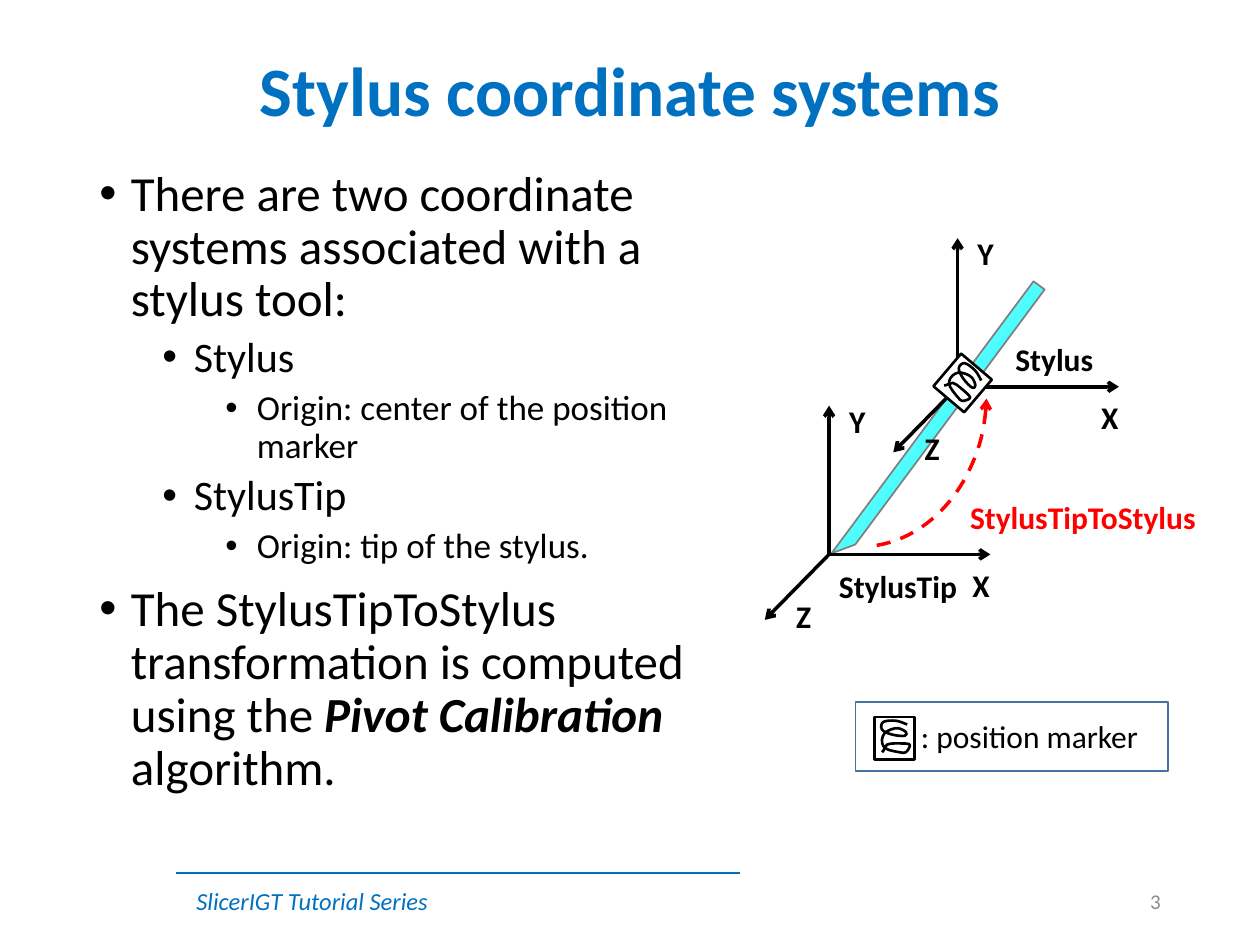
"""Build the slide on stylus coordinate systems."""
from copy import deepcopy
from dataclasses import dataclass

from lxml import etree
from pptx import Presentation
from pptx.dml.color import RGBColor
from pptx.enum.dml import MSO_LINE
from pptx.enum.shapes import MSO_CONNECTOR, MSO_SHAPE
from pptx.enum.text import MSO_ANCHOR, MSO_AUTO_SIZE, PP_ALIGN
from pptx.oxml.ns import qn
from pptx.util import Inches, Pt

STRAIGHT = MSO_CONNECTOR.STRAIGHT
RECT, ARC = MSO_SHAPE.RECTANGLE, MSO_SHAPE.ARC
DASH = MSO_LINE.DASH
TOP, MIDDLE = MSO_ANCHOR.TOP, MSO_ANCHOR.MIDDLE
CENTER, RIGHT = PP_ALIGN.CENTER, PP_ALIGN.RIGHT
GROW = MSO_AUTO_SIZE.SHAPE_TO_FIT_TEXT


@dataclass(frozen=True)
class Theme:
    """Colours, type sizes and font of the slide."""
    font: str = "Calibri"
    blue: str = "0070C0"
    black: str = "000000"
    white: str = "FFFFFF"
    red: str = "FF0000"
    gray: str = "808080"
    number: str = "8C8C8C"
    frame: str = "43739E"
    metal: tuple = ((0, "F7FAFD"), (74, "00FFFF"), (83, "00ADC4"), (100, "D5FAFF"))
    title_size: float = 39.6
    body_sizes: tuple = (28, 24, 20)
    label_size: float = 18
    footer_size: float = 14
    number_size: float = 12


THEME = Theme()

AXES = (((0, -1.18), "Y", (0.06, -1.26, 0.33)),
        ((1.28, 0), "X", (1.04, 0.04, 0.34)),
        ((-0.51, 0.52), "Z", (-0.36, 0.29, 0.32)))

COIL = ((0.26, 0.06), (0.17, 0.03), (0.07, 0.04), (0.06, 0.10), (0.14, 0.14),
        (0.24, 0.15), (0.25, 0.12), (0.19, 0.09), (0.13, 0.10), (0.08, 0.13),
        (0.06, 0.18), (0.07, 0.23), (0.11, 0.26), (0.20, 0.28), (0.25, 0.28),
        (0.28, 0.22), (0.20, 0.21), (0.16, 0.21), (0.10, 0.22), (0.07, 0.27),
        (0.06, 0.28))

STYLUS = ((6.1, 3.29), (8.79, 3.29), (8.79, 3.4), (6.27, 3.4))

BODY = (
    (0, (("There are two coordinate systems associated with a stylus tool:", False),)),
    (1, (("Stylus", False),)),
    (2, (("Origin: center of the position marker", False),)),
    (1, (("StylusTip", False),)),
    (2, (("Origin: tip of the stylus.", False),)),
    (0, (("The StylusTipToStylus transformation is computed using the ", False),
         ("Pivot Calibration ", True), ("algorithm.", False))),
)


def rgb(value):
    """Return a colour from its hex value."""
    return RGBColor.from_string(value)


def add_run(p, text, size, color, bold=False, italic=False):
    """Add one styled run to a paragraph."""
    r = p.add_run()
    r.text = text
    r.font.name, r.font.size = THEME.font, Pt(size)
    r.font.color.rgb = rgb(color)
    r.font.bold, r.font.italic = bold, italic


def add_box(shapes, box, anchor=TOP, wrap=True):
    """Add an empty text box and return its text frame."""
    tf = shapes.add_textbox(*map(Inches, box)).text_frame
    tf.word_wrap, tf.vertical_anchor = wrap, anchor
    return tf


def add_label(shapes, text, box, color=THEME.black, size=THEME.label_size,
              bold=True, italic=False):
    """Add a single-line label that does not wrap."""
    tf = add_box(shapes, box, wrap=False)
    tf.auto_size = GROW
    add_run(tf.paragraphs[0], text, size, color, bold, italic)


def add_fixed_text(shapes, text, box, align, size, color, bold=False, spacing=1.0):
    """Add a vertically centred line of text in a fixed box."""
    p = add_box(shapes, box, MIDDLE).paragraphs[0]
    p.alignment, p.line_spacing = align, spacing
    add_run(p, text, size, color, bold)


def style_line(sp, color, width, end=None):
    """Style an outline, with an arrowhead at the named end."""
    sp.line.color.rgb, sp.line.width = rgb(color), Pt(width)
    if end:
        etree.SubElement(sp.get_or_add_ln(), qn(f"a:{end}"), type="arrow")


def add_line(shapes, start, stop, color, width, end=None):
    """Add a straight line."""
    sp = shapes.add_connector(STRAIGHT, *map(Inches, (*start, *stop)))
    style_line(sp, color, width, end)
    etree.SubElement(sp._element.spPr, qn("a:effectLst"))


def add_preset(shapes, kind, box, color, width, fill=None):
    """Add a preset shape with an outline and an optional fill."""
    sp = shapes.add_shape(kind, *map(Inches, box))
    sp.shadow.inherit = False
    if fill:
        sp.fill.solid()
        sp.fill.fore_color.rgb = rgb(fill)
    else:
        sp.fill.background()
    style_line(sp, color, width)
    return sp


def add_outline(shapes, points, color, width, close):
    """Add a freeform through the given points."""
    pts = [(Inches(x), Inches(y)) for x, y in points]
    builder = shapes.build_freeform(*pts[0], scale=1.0)
    builder.add_line_segments(pts[1:], close=close)
    sp = builder.convert_to_shape()
    sp.shadow.inherit = False
    style_line(sp, color, width)
    return sp


def smooth_outline(sp):
    """Turn the straight segments of an open freeform into smooth curves."""
    nodes = list(sp._element.iter(qn("a:pt")))
    pts = [(int(n.get("x")), int(n.get("y"))) for n in nodes]
    padded = [pts[0], *pts, pts[-1]]
    for node, a, b, c, d in zip(nodes[1:], padded, padded[1:], padded[2:], padded[3:]):
        segment = node.getparent()
        curve = etree.Element(qn("a:cubicBezTo"))
        first = [q + (r - p) / 6 for p, q, r in zip(a, b, c)]
        second = [q - (r - p) / 6 for p, q, r in zip(b, c, d)]
        for x, y in (first, second, c):
            etree.SubElement(curve, qn("a:pt"), x=str(round(x)), y=str(round(y)))
        segment.getparent().replace(segment, curve)


def add_stylus(shapes):
    """Add the metallic stylus rod."""
    sp = add_outline(shapes, STYLUS, THEME.gray, 1, True)
    sp.fill.gradient()
    sp.fill.gradient_angle = 270
    stops = sp._element.spPr.find(qn("a:gradFill")).find(qn("a:gsLst"))
    for _ in THEME.metal[2:]:
        stops.append(deepcopy(stops[0]))
    for stop, (position, color) in zip(sp.fill.gradient_stops, THEME.metal):
        stop.position, stop.color.rgb = position / 100, rgb(color)
    sp.rotation = 306.6


def add_axes(shapes, x, y):
    """Add a labelled set of three axes at an origin."""
    group = shapes.add_group_shape().shapes
    for (dx, dy), _, _ in AXES:
        add_line(group, (x, y), (x + dx, y + dy), THEME.black, 2, "tailEnd")
    for _, name, (dx, dy, width) in AXES:
        add_label(group, name, (x + dx, y + dy, width, 0.4))


def add_marker(shapes, x, y, rotation=0):
    """Add a position marker: a square holding a coil."""
    group = shapes.add_group_shape()
    add_preset(group.shapes, RECT, (x, y, 0.32, 0.34), THEME.black, 1.5, THEME.white)
    points = [(x + dx, y + dy) for dx, dy in COIL]
    coil = add_outline(group.shapes, points, THEME.black, 1.5, False)
    coil.fill.background()
    smooth_outline(coil)
    group.rotation = rotation


def add_body(shapes):
    """Add the bulleted text."""
    tf = add_box(shapes, (0.69, 1.29, 5.12, 5.46))
    for i, (level, runs) in enumerate(BODY):
        p = tf.add_paragraph() if i else tf.paragraphs[0]
        p.level, p.line_spacing = level, 0.9
        p.space_before = Pt((5 if level else 10) if i else 0)
        pPr = p._p.get_or_add_pPr()
        pPr.set("marL", str(Inches(0.25 + 0.5 * level)))
        pPr.set("indent", str(Inches(-0.25)))
        etree.SubElement(pPr, qn("a:buFont"), typeface="Arial")
        etree.SubElement(pPr, qn("a:buChar"), char="•")
        for text, strong in runs:
            add_run(p, text, THEME.body_sizes[level], THEME.black, strong, strong)


def add_diagram(shapes):
    """Add the stylus with its two coordinate systems and the legend."""
    add_stylus(shapes)
    add_axes(shapes, 7.6, 3.07)
    add_label(shapes, "Stylus", (7.96, 2.65, 0.82, 0.4))
    add_axes(shapes, 6.58, 4.4)
    add_label(shapes, "StylusTip", (6.56, 4.45, 1.15, 0.4))
    add_marker(shapes, 7.48, 2.87, 40.3)
    arc = add_preset(shapes, ARC, (5.81, 1.89, 2.02, 2.45), THEME.red, 2)
    arc.adjustments[0], arc.adjustments[1] = 1.64, 50.13
    arc.line.dash_style = DASH
    style_line(arc, THEME.red, 2, "headEnd")
    add_marker(shapes, 6.94, 5.69)
    add_preset(shapes, RECT, (6.79, 5.57, 2.48, 0.55), THEME.frame, 1)
    add_label(shapes, ": position marker", (7.21, 5.64, 1.95, 0.4), bold=False)
    add_label(shapes, "StylusTipToStylus", (7.6, 3.9, 2.01, 0.4), THEME.red)


def main():
    """Build and save the slide."""
    prs = Presentation()
    prs.slide_width, prs.slide_height = Inches(10), Inches(7.5)
    shapes = prs.slides.add_slide(prs.slide_layouts[6]).shapes
    add_line(shapes, (1.4, 6.93), (5.87, 6.93), THEME.blue, 1.25)
    add_label(shapes, "SlicerIGT Tutorial Series", (1.46, 6.98, 2.06, 0.34),
              THEME.blue, THEME.footer_size, bold=False, italic=True)
    add_fixed_text(shapes, "Stylus coordinate systems", (0.69, 0.4, 8.62, 0.69),
                   CENTER, THEME.title_size, THEME.blue, True, 0.9)
    add_fixed_text(shapes, "3", (7.06, 6.95, 2.25, 0.4), RIGHT,
                   THEME.number_size, THEME.number)
    add_diagram(shapes)
    add_body(shapes)
    prs.save("out.pptx")


if __name__ == "__main__":
    main()
